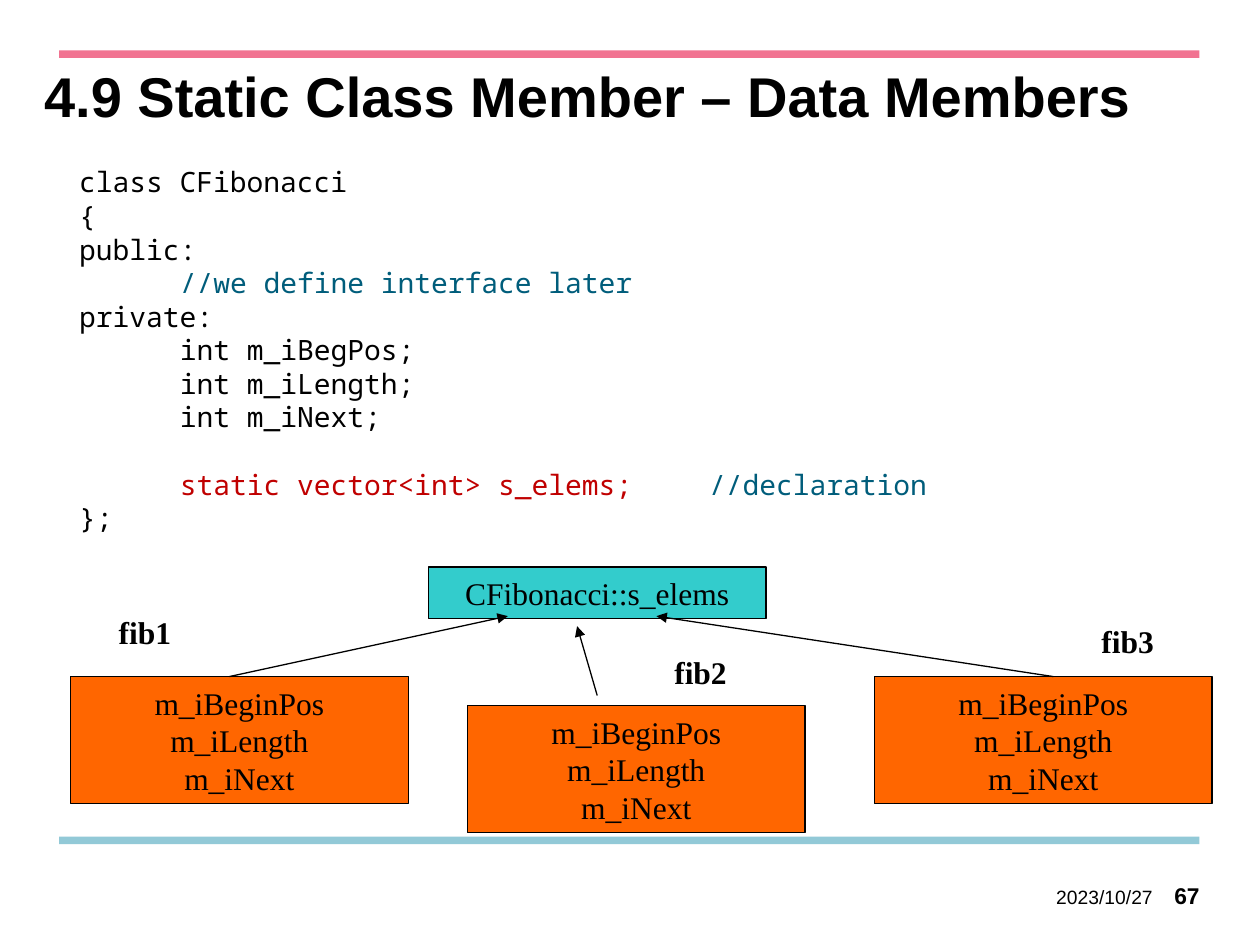
from pptx import Presentation
from pptx.dml.color import RGBColor
from pptx.enum.shapes import MSO_CONNECTOR as Connector, MSO_SHAPE as Preset
from pptx.enum.text import MSO_ANCHOR as Anchor, PP_ALIGN as Align
from pptx.oxml.ns import qn
from pptx.util import Inches, Pt
from lxml.etree import SubElement

BLACK, TEAL, RED = "000000", "005D7B", "C00000"
CYAN, ORANGE, PINK, BLUE = "33CCCC", "FF6600", "F17391", "92C9D7"
SERIF, SANS, MONO = "Times New Roman", "Arial", "Noto Sans Mono"


def color(value):
    return RGBColor.from_string(value)


def apply(target, values):
    for key, value in values.items():
        setattr(target, key, value)


class ClassSlide:
    def __init__(self, deck):
        self.slide = deck.slides.add_slide(deck.slide_layouts[5])
        self.label_font = {"name": SERIF, "size": Pt(18), "bold": False}
        self.code_font = {"name": MONO, "size": Pt(16), "bold": False}
        self.line_width = Pt(0.75)

    def fill_text(self, frame, lines, font, paragraph_format, margins=None, anchor=Anchor.TOP):
        apply(frame, {"word_wrap": True, "vertical_anchor": anchor})
        apply(frame, margins or {})
        for index, runs in enumerate(lines):
            paragraph = frame.paragraphs[0] if index == 0 else frame.add_paragraph()
            apply(paragraph, paragraph_format)
            for words, shade in runs:
                run = paragraph.add_run()
                run.text = words
                apply(run.font, font)
                run.font.color.rgb = color(shade)

    def title(self, words, area):
        heading = self.slide.shapes.title
        apply(heading, dict(zip(("left", "top", "width", "height"), map(Inches, area))))
        self.fill_text(heading.text_frame, [[(words, BLACK)]],
                       {"name": SANS, "size": Pt(32), "bold": True},
                       {"alignment": Align.LEFT, "line_spacing": Pt(34)})

    def text(self, lines, area, font, paragraph_format, **frame_options):
        box = self.slide.shapes.add_textbox(*map(Inches, area))
        self.fill_text(box.text_frame, lines, font, paragraph_format, **frame_options)
        return box.text_frame

    def code(self, lines, area, tabs, spaced_line):
        frame = self.text(lines, area, self.code_font, {"line_spacing": Pt(19.2)})
        frame.paragraphs[spaced_line].space_before = Pt(19.2)
        for paragraph in frame.paragraphs:
            stops = SubElement(paragraph._p.get_or_add_pPr(), qn("a:tabLst"))
            for position in tabs:
                SubElement(stops, qn("a:tab"), pos=str(Inches(position)), algn="l")

    def label(self, words, area):
        self.text([[(words, BLACK)]], area, {**self.label_font, "bold": True},
                  {"alignment": Align.CENTER})

    def bar(self, area, fill):
        bar = self.slide.shapes.add_shape(Preset.RECTANGLE, *map(Inches, area))
        bar.shadow.inherit = False
        bar.fill.solid()
        bar.fill.fore_color.rgb = color(fill)
        bar.line.fill.background()
        return bar

    def members(self, names, area, fill):
        box = self.bar(area, fill)
        box.line.color.rgb = color(BLACK)
        box.line.width = self.line_width
        self.fill_text(box.text_frame, [[(name, BLACK)] for name in names], self.label_font,
                       {"alignment": Align.CENTER}, anchor=Anchor.MIDDLE)

    def arrow(self, start, end):
        arrow = self.slide.shapes.add_connector(Connector.STRAIGHT, *map(Inches, start + end))
        arrow.line.color.rgb = color(BLACK)
        arrow.line.width = self.line_width
        SubElement(arrow.line._get_or_add_ln(), qn("a:tailEnd"), type="triangle")
        SubElement(arrow._element.spPr, qn("a:effectLst"))


def main():
    deck = Presentation()
    apply(deck, {"slide_width": Inches(10), "slide_height": Inches(7.5)})
    page = ClassSlide(deck)

    for top, fill in ((6.64, BLUE), (0.4, PINK)):
        page.bar((0.47, top, 9.05, 0.06), fill)
    page.title("4.9 Static Class Member – Data Members", (0.25, 0.5, 9.24, 1.25))

    declaration = [
        [("class CFibonacci", BLACK)],
        [("{", BLACK)],
        [("public:", BLACK)],
        [("\t//we define interface later", TEAL)],
        [("private:", BLACK)],
        [("\tint m_iBegPos;", BLACK)],
        [("\tint m_iLength;", BLACK)],
        [("\tint m_iNext;", BLACK)],
        [("\tstatic vector<int> s_elems;\t", RED), ("//declaration", TEAL)],
        [("};", BLACK)],
    ]
    page.code(declaration, (0.53, 1.26, 9, 3.06), tabs=(0.8, 5), spaced_line=8)

    page.members(["CFibonacci::s_elems"], (3.4, 4.5, 2.68, 0.41), CYAN)
    instances = [
        ("fib1", (0.56, 5.37), (0.64, 4.82), (1.82, 5.37), (4.03, 4.89)),
        ("fib2", (3.71, 5.6), (5.05, 5.13), (4.74, 5.52), (4.58, 4.97)),
        ("fib3", (6.94, 5.37), (8.44, 4.89), (8.36, 5.37), (5.21, 4.89)),
    ]
    for name, box_corner, label_corner, start, end in instances:
        page.members(["m_iBeginPos", "m_iLength", "m_iNext"], box_corner + (2.68, 1.01), ORANGE)
        page.label(name, label_corner + (1.02, 0.4))
        page.arrow(start, end)

    flush = dict.fromkeys(("margin_left", "margin_top", "margin_right", "margin_bottom"), 0)
    right = {"alignment": Align.RIGHT}
    page.text([[("67", BLACK)]], (9.13, 6.98, 0.39, 0.27),
              {"name": SANS, "size": Pt(13), "bold": True}, right,
              margins={**flush, "margin_top": Inches(0.02)})
    page.text([[("2023/10/27", BLACK)]], (8.19, 6.98, 0.96, 0.27),
              {"name": SANS, "size": Pt(11)}, right, margins=flush, anchor=Anchor.MIDDLE)

    deck.save("out.pptx")


if __name__ == "__main__":
    main()
